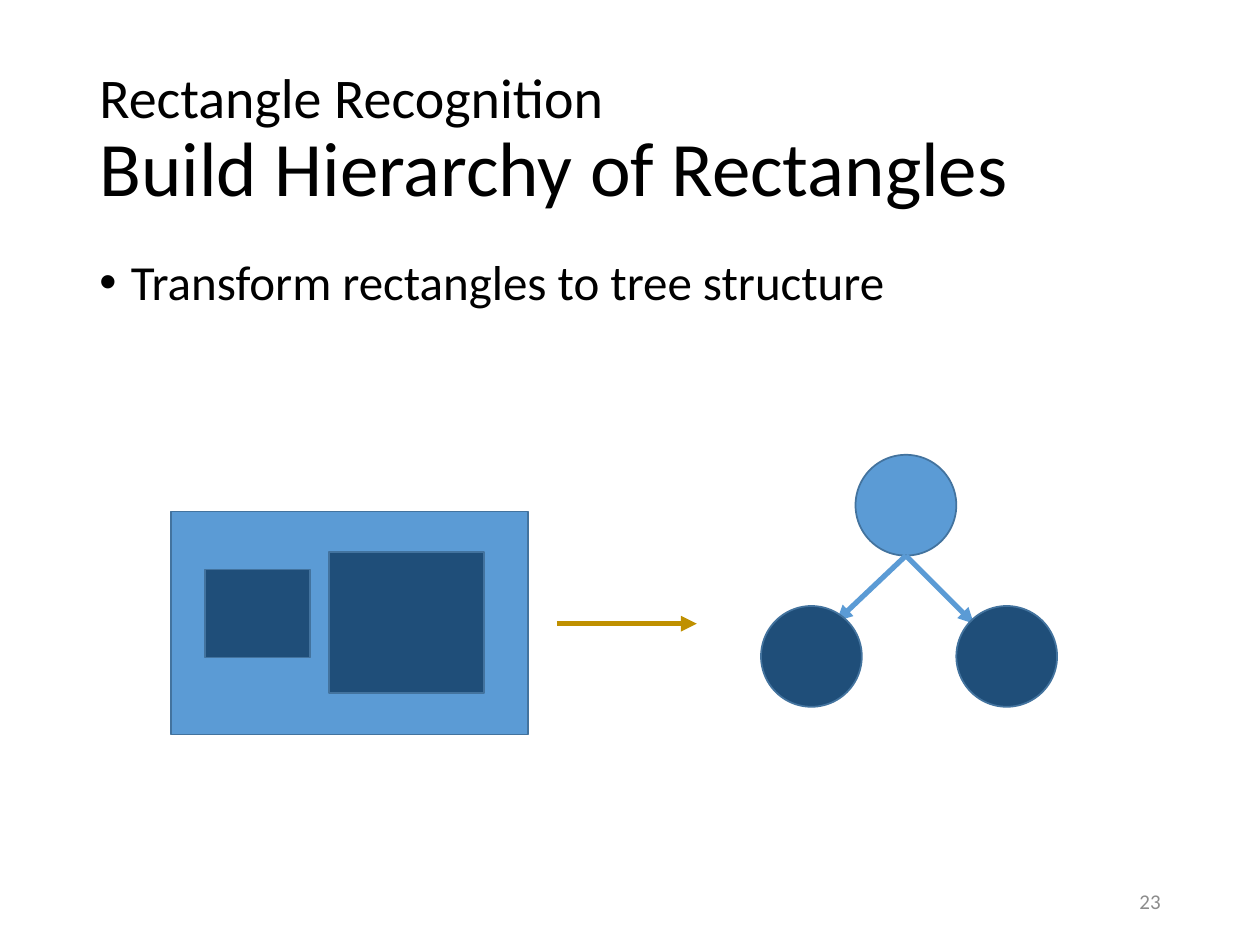
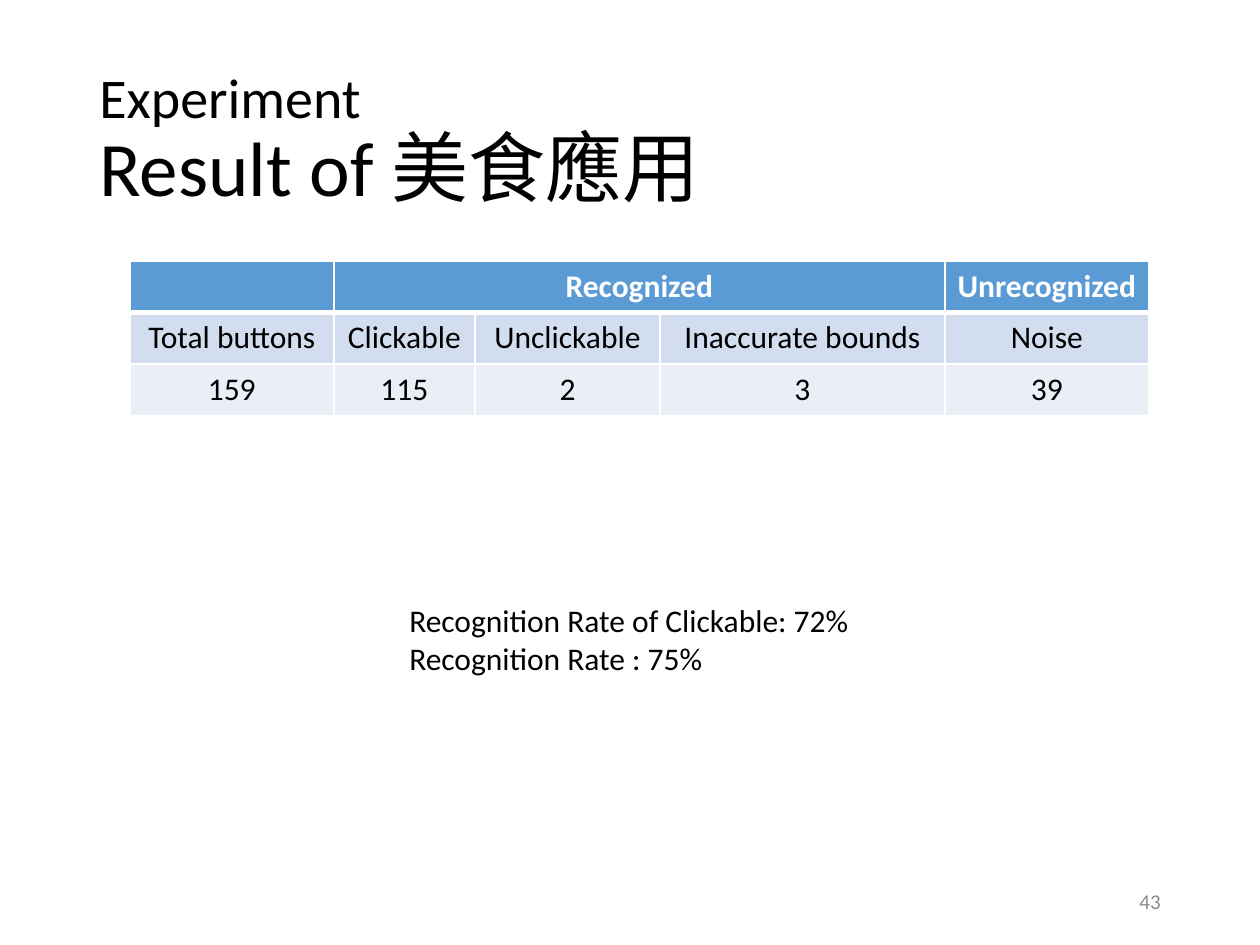
from pptx import Presentation
from pptx.dml.color import RGBColor
from pptx.enum.shapes import MSO_CONNECTOR, MSO_SHAPE
from pptx.enum.text import MSO_ANCHOR, PP_ALIGN
from pptx.oxml.ns import qn
from pptx.util import Inches, Pt
from lxml.etree import SubElement

FONT = "Calibri"
BLACK, WHITE, GRAY = "000000", "FFFFFF", "8C8C8C"
BLUE, NAVY, OUTLINE, GOLD = "5B9BD5", "1F4E79", "43739E", "BF9000"
BANDS = (BLUE, "D2DEEF", "EAEFF7")


def rgb(color):
    return RGBColor.from_string(color)


def style_font(font, size, color=BLACK, bold=False):
    font.name, font.size, font.bold = FONT, Pt(size), bold
    font.color.rgb = rgb(color)


def add_border(cell, side, width):
    """Draw a white line on one side (L, R, T or B) of a table cell."""
    line = SubElement(cell._tc.get_or_add_tcPr(), qn(f"a:ln{side}"), w=str(Pt(width)))
    SubElement(SubElement(line, qn("a:solidFill")), qn("a:srgbClr"), val=WHITE)


class Deck:
    """Holds the presentation, its style and the slide being filled."""

    def __init__(self):
        self.presentation = Presentation()
        self.presentation.slide_width = Inches(10)
        self.presentation.slide_height = Inches(7.5)

    def new_slide(self, section, heading, number):
        self.slide = self.presentation.slides.add_slide(self.presentation.slide_layouts[6])
        title = self.text_frame(0.69, 0.4, 8.62, 1.45, MSO_ANCHOR.MIDDLE).paragraphs[0]
        title.line_spacing = 0.9
        for text, size in ((section, 32), (heading, 44)):
            if title.runs:
                title.add_line_break()
            run = title.add_run()
            run.text = text
            style_font(run.font, size)
        footer = self.text_frame(7.06, 6.95, 2.25, 0.4, MSO_ANCHOR.MIDDLE).paragraphs[0]
        footer.text = str(number)
        footer.alignment = PP_ALIGN.RIGHT
        style_font(footer.font, 12, GRAY)

    def text_frame(self, left, top, width, height, anchor=MSO_ANCHOR.TOP, wrap=True):
        box = self.slide.shapes.add_textbox(*map(Inches, (left, top, width, height)))
        box.text_frame.word_wrap = wrap
        box.text_frame.vertical_anchor = anchor
        return box.text_frame

    def bullet(self, text):
        paragraph = self.text_frame(0.69, 2, 8.62, 4.76).paragraphs[0]
        paragraph.text = text
        paragraph.line_spacing = 0.9
        properties = paragraph._p.get_or_add_pPr()
        properties.set("marL", str(Inches(0.25)))
        properties.set("indent", str(Inches(-0.25)))
        SubElement(properties, qn("a:buFont"), typeface="Arial")
        SubElement(properties, qn("a:buChar"), char="•")
        style_font(paragraph.font, 28)

    def lines(self, left, top, width, height, texts):
        frame = self.text_frame(left, top, width, height, wrap=False)
        frame.text = "\n".join(texts)
        for paragraph in frame.paragraphs:
            style_font(paragraph.font, 18)

    def shape(self, preset, left, top, width, height, fill):
        shape = self.slide.shapes.add_shape(preset, *map(Inches, (left, top, width, height)))
        shape.shadow.inherit = False
        shape.fill.solid()
        shape.fill.fore_color.rgb = rgb(fill)
        shape.line.color.rgb = rgb(OUTLINE)
        shape.line.width = Pt(1)

    def rectangle(self, left, top, width, height, fill):
        self.shape(MSO_SHAPE.RECTANGLE, left, top, width, height, fill)

    def node(self, left, top, fill):
        self.shape(MSO_SHAPE.OVAL, left, top, 0.8, 0.8, fill)

    def arrow(self, start, end, color):
        arrow = self.slide.shapes.add_connector(
            MSO_CONNECTOR.STRAIGHT, *map(Inches, (*start, *end)))
        arrow.line.color.rgb = rgb(color)
        arrow.line.width = Pt(3)
        SubElement(arrow.line._get_or_add_ln(), qn("a:tailEnd"), type="triangle")
        SubElement(arrow._element.spPr, qn("a:effectLst"))

    def table(self, left, top, widths, row_height, rows):
        table = self.slide.shapes.add_table(
            len(rows), len(widths), Inches(left), Inches(top),
            Inches(sum(widths)), Inches(row_height * len(rows))).table
        for column, width in zip(table.columns, widths):
            column.width = Inches(width)
        for r, texts in enumerate(rows):
            table.rows[r].height = Inches(row_height)
            for c, text in enumerate(texts):
                cell = table.cell(r, c)
                cell.text = text
                paragraph = cell.text_frame.paragraphs[0]
                paragraph.alignment = PP_ALIGN.CENTER
                style_font(paragraph.font, 18, BLACK if r else WHITE, bold=r == 0)
                for side in "LRTB":
                    # The rule under the header row is thicker.
                    under_header = (r, side) in ((0, "B"), (1, "T"))
                    add_border(cell, side, 3 if under_header else 1)
                cell.fill.solid()
                cell.fill.fore_color.rgb = rgb(BANDS[r])
        return table


def build_hierarchy(deck):
    deck.new_slide("Rectangle Recognition", "Build Hierarchy of Rectangles", 23)
    deck.bullet("Transform rectangles to tree structure")
    deck.rectangle(1.36, 4.06, 2.83, 1.77, BLUE)
    deck.rectangle(1.63, 4.52, 0.83, 0.7, NAVY)
    deck.rectangle(2.61, 4.38, 1.23, 1.12, NAVY)
    deck.arrow((4.42, 4.95), (5.53, 4.95), GOLD)
    deck.node(6.79, 3.61, BLUE)
    for child_end in ((6.64, 4.93), (7.73, 4.95)):
        deck.arrow((7.19, 4.41), child_end, BLUE)
    for child_left in (6.04, 7.59):
        deck.node(child_left, 4.81, NAVY)


def build_result(deck):
    deck.new_slide("Experiment", "Result of 美食應用", 43)
    results = deck.table(1.03, 2.07, (1.62, 1.12, 1.47, 2.26, 1.62), 0.41, (
        ("", "Recognized", "", "", "Unrecognized"),
        ("Total buttons", "Clickable", "Unclickable", "Inaccurate bounds", "Noise"),
        ("159", "115", "2", "3", "39")))
    results.cell(0, 1).merge(results.cell(0, 3))
    deck.lines(3.15, 4.72, 3.7, 0.71,
               ("Recognition Rate of Clickable: 72%", "Recognition Rate : 75%"))


def main():
    deck = Deck()
    build_hierarchy(deck)
    build_result(deck)
    deck.presentation.save("out.pptx")


if __name__ == "__main__":
    main()
